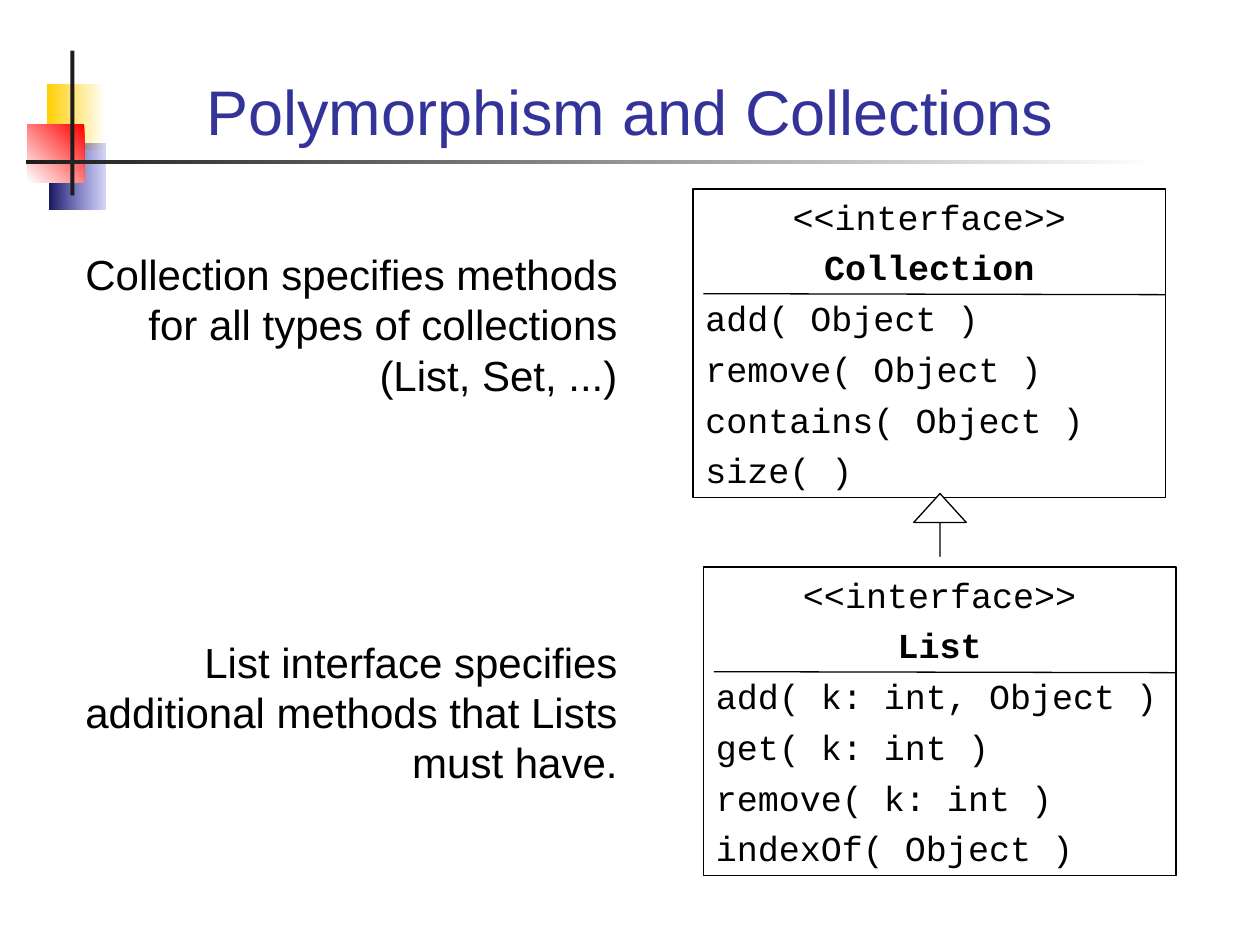
from lxml.etree import SubElement
from pptx import Presentation
from pptx.dml.color import RGBColor
from pptx.enum.shapes import MSO_CONNECTOR, MSO_SHAPE
from pptx.enum.text import MSO_ANCHOR, MSO_AUTO_SIZE, PP_ALIGN
from pptx.oxml.ns import qn
from pptx.util import Cm, Pt

COLORS = {
    "title": "333399", "text": "000000", "white": "FFFFFF", "dark": "1C1C1C",
    "yellow": "FFCF01", "red": "FF0000", "blue": "3333CC", "navy": "17175E",
}
BODY_FONT = "Arial"
CODE_FONT = "Courier New"
BOX_WIDTH, BOX_HEIGHT = 9.53, 6.22


def color(name):
    return RGBColor.from_string(COLORS[name])


class UmlSlide:
    """Holds the current slide and the style of its elements."""

    line_width = Pt(0.75)

    def __init__(self, presentation):
        self.slide = presentation.slides.add_slide(presentation.slide_layouts[5])

    def shape(self, kind, left, top, width, height):
        shape = self.slide.shapes.add_shape(
            kind, Cm(left), Cm(top), Cm(width), Cm(height))
        shape.shadow.inherit = False
        return shape

    def outline(self, shape):
        shape.line.color.rgb = color("text")
        shape.line.width = self.line_width

    def bar(self, left, top, width, height, start, end=None, angle=180, opacity=None):
        """Borderless rectangle, solid or with a gradient from start to end."""
        shape = self.shape(MSO_SHAPE.RECTANGLE, left, top, width, height)
        shape.line.fill.background()
        if end is None:
            shape.fill.solid()
            shape.fill.fore_color.rgb = color(start)
            return
        shape.fill.gradient()
        shape.fill.gradient_angle = angle
        for stop, position, name in zip(shape.fill.gradient_stops, (0, 1), (start, end)):
            stop.position = position
            stop.color.rgb = color(name)
        if opacity is not None:
            first_color = next(shape.element.spPr.iter(qn("a:srgbClr")))
            SubElement(first_color, qn("a:alpha"), val=str(opacity * 1000))

    def run(self, paragraph, text, size, font, color_name="text", bold=False):
        run = paragraph.add_run()
        run.text = text
        run.font.size = Pt(size)
        run.font.name = font
        run.font.bold = bold
        run.font.color.rgb = color(color_name)

    def title(self, text):
        title = self.slide.shapes.title
        title.left, title.top = Cm(1.7), Cm(0.71)
        title.width, title.height = Cm(22), Cm(2.41)
        frame = title.text_frame
        frame.auto_size = MSO_AUTO_SIZE.NONE
        frame.vertical_anchor = MSO_ANCHOR.BOTTOM
        paragraph = frame.paragraphs[0]
        paragraph.alignment = PP_ALIGN.CENTER
        self.run(paragraph, text, 36, BODY_FONT, "title")

    def comment(self, top, text):
        box = self.slide.shapes.add_textbox(Cm(1.27), Cm(top), Cm(11.43), Cm(4.01))
        box.text_frame.word_wrap = True
        paragraph = box.text_frame.paragraphs[0]
        paragraph.alignment = PP_ALIGN.RIGHT
        self.run(paragraph, text, 24, BODY_FONT)

    def connector(self, start_x, start_y, end_x, end_y):
        line = self.slide.shapes.add_connector(
            MSO_CONNECTOR.STRAIGHT, Cm(start_x), Cm(start_y), Cm(end_x), Cm(end_y))
        self.outline(line)
        SubElement(line.element.spPr, qn("a:effectLst"))

    def interface(self, left, top, name, methods):
        """UML box: stereotype and name above a divider, methods below it."""
        box = self.shape(MSO_SHAPE.RECTANGLE, left, top, BOX_WIDTH, BOX_HEIGHT)
        box.fill.background()
        self.outline(box)
        frame = box.text_frame
        frame.word_wrap = True
        frame.vertical_anchor = MSO_ANCHOR.TOP
        for index, text in enumerate(["<<interface>>", name, *methods]):
            paragraph = frame.add_paragraph() if index else frame.paragraphs[0]
            paragraph.alignment = PP_ALIGN.CENTER if index < 2 else PP_ALIGN.LEFT
            paragraph.space_before = Pt(5 if index else 0)
            self.run(paragraph, text, 20, CODE_FONT, bold=index == 1)
        self.connector(left + 0.21, top + 2.11, left + BOX_WIDTH, top + 2.13)

    def inheritance_arrow(self, left, top, width, height):
        arrow = self.shape(MSO_SHAPE.UP_ARROW, left, top, width, height)
        arrow.adjustments[0] = 0
        arrow.adjustments[1] = 0.55
        arrow.fill.solid()
        arrow.fill.fore_color.rgb = color("white")
        self.outline(arrow)


def main():
    presentation = Presentation()
    presentation.slide_width, presentation.slide_height = Cm(25.4), Cm(19.05)
    uml = UmlSlide(presentation)

    uml.bar(0.94, 1.7, 1.19, 1.32, "white", "yellow")
    uml.bar(0.99, 2.9, 1.14, 1.32, "blue", "navy", opacity=20)
    uml.bar(0.56, 2.51, 1.14, 1.17, "red", "white", angle=225)
    uml.bar(1.42, 1.02, 0.08, 2.92, "dark")
    uml.bar(0.53, 3.23, 22.83, 0.08, "white", "dark")

    uml.title("Polymorphism and Collections")
    uml.comment(4.88, "Collection specifies methods for all types of collections "
                      "(List, Set, ...)")
    uml.interface(13.97, 3.81, "Collection", [
        "add( Object )", "remove( Object )", "contains( Object )", "size( )"])
    uml.interface(14.18, 11.43, "List", [
        "add( k: int, Object )", "get( k: int )", "remove( k: int )",
        "indexOf( Object )"])
    uml.comment(12.7, "List interface specifies additional methods that Lists "
                      "must have.")
    uml.inheritance_arrow(18.42, 9.95, 1.06, 1.27)

    presentation.save("out.pptx")


if __name__ == "__main__":
    main()
